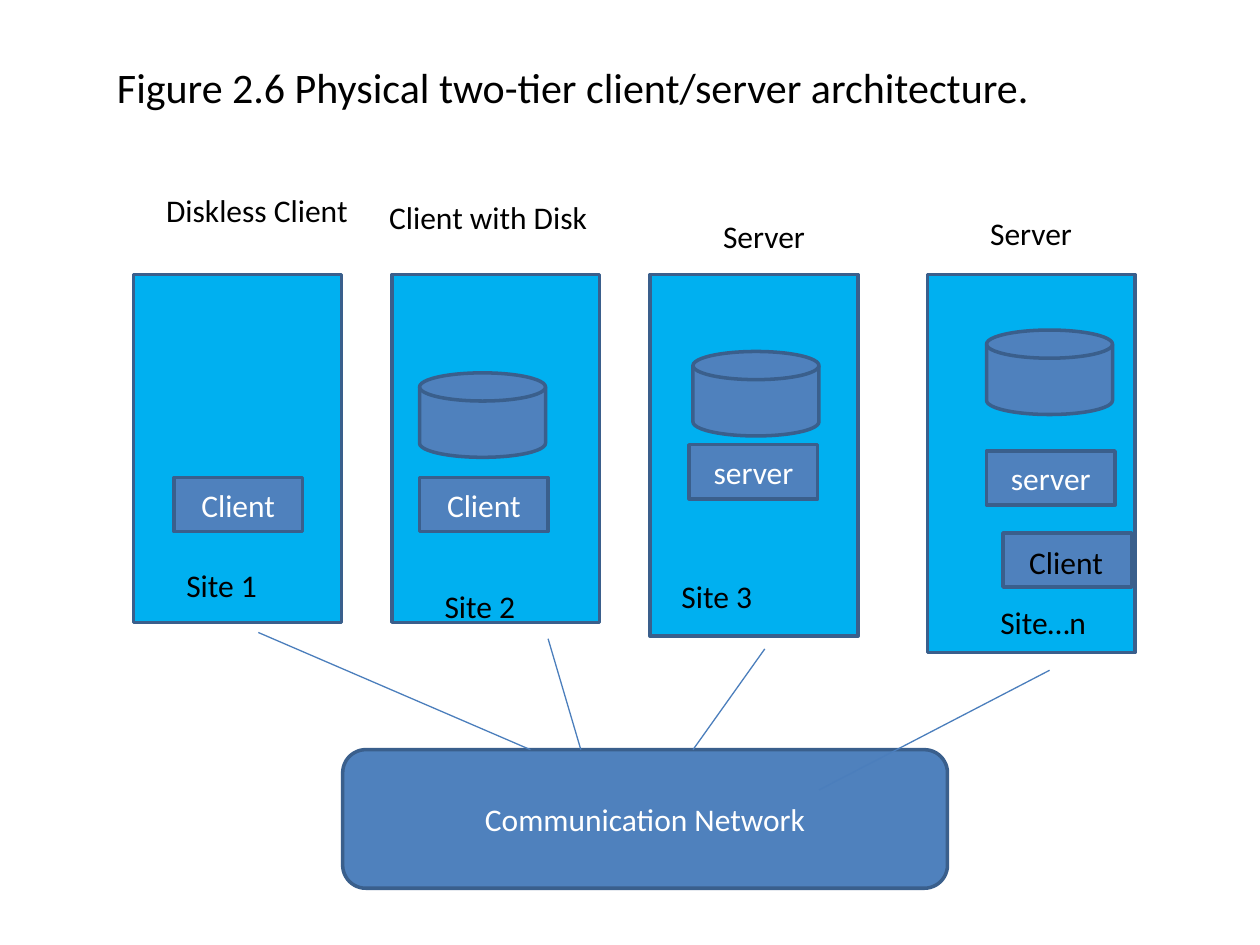
from lxml import etree
from pptx import Presentation
from pptx.dml.color import RGBColor
from pptx.enum.shapes import MSO_CONNECTOR, MSO_SHAPE
from pptx.enum.text import MSO_ANCHOR, MSO_AUTO_SIZE, PP_ALIGN
from pptx.oxml.ns import qn
from pptx.util import Inches, Pt

RECT, ROUNDED = MSO_SHAPE.RECTANGLE, MSO_SHAPE.ROUNDED_RECTANGLE
DISK = MSO_SHAPE.FLOWCHART_MAGNETIC_DISK
STRAIGHT = MSO_CONNECTOR.STRAIGHT
MIDDLE, CENTER = MSO_ANCHOR.MIDDLE, PP_ALIGN.CENTER
FIT_SHAPE = MSO_AUTO_SIZE.SHAPE_TO_FIT_TEXT

FONT = "Calibri"
COLORS = {"site": "00B0F0", "part": "4F81BD", "outline": "3A5F8C",
          "link": "4B7EBC", "dark": "000000", "light": "FFFFFF"}

# The slide is a grid of 100 columns by 75 rows; every length counts cells.
COLUMNS, ROWS, CELL = 100, 75, Inches(0.1)
SITE_TOP, SITE_WIDTH = 21.8, 16.5
PROCESS_SIZE, DISK_SIZE = (10.2, 4.3), (10, 6.7)
LABEL_HEIGHT = 4
NETWORK = (27.2, 59.5, 48, 11)

# Offsets count from the site's top left corner; link ends from the network's.
SITES = [
    {"left": 10.6, "height": 27.6, "caption": ("Diskless Client", 1.6, -7.1, 16.6),
     "processes": [("Client", 3.2, 16.1)], "name": ("Site 1", 3.2, 22.6),
     "link": ((9.9, 28.4), (14.9, 0))},
    {"left": 31.1, "height": 27.6, "caption": ("Client with Disk", -1.2, -6.6, 17.9),
     "disk": (2.2, 7.8), "processes": [("Client", 2.2, 16.1)],
     "name": ("Site 2", 3.2, 24.3), "link": ((12.4, 28.9), (18.9, 0))},
    {"left": 51.6, "height": 28.7, "caption": ("Server", 4.8, -5.1, 8.6),
     "disk": (3.4, 6.1), "processes": [("server", 3.1, 13.5)],
     "name": ("Site 3", 1.5, 23.5), "link": ((9.1, 29.7), (27.8, 0))},
    {"left": 73.6, "height": 30, "caption": ("Server", 4, -5.3, 8.6),
     "disk": (4.7, 4.4), "processes": [("server", 4.7, 14), ("", 6, 20.5)],
     "overlay": ("Client", 7.1, 20.8, 7.9),
     "name": ("Site…n", 4.8, 25.6), "link": ((9.7, 31.4), (37.8, 3.2))},
]


def cells(*counts):
    """Turn counts of grid cells into slide lengths."""
    return [round(count * CELL) for count in counts]


def color(key):
    """Look up a named colour."""
    return RGBColor.from_string(COLORS[key])


def write(frame, words, ink, size=18):
    """Set the words of a frame and format its run."""
    frame.text = words
    for run in frame.paragraphs[0].runs:
        run.font.name, run.font.size = FONT, Pt(size)
        run.font.color.rgb = color(ink)


def add_label(slide, words, box, size=18, wrap=False):
    """Place dark text without a background."""
    frame = slide.shapes.add_textbox(*cells(*box)).text_frame
    write(frame, words, "dark", size)
    frame.word_wrap, frame.auto_size = wrap, FIT_SHAPE


def add_block(slide, preset, box, fill, words=""):
    """Place an outlined shape with optional centred text."""
    block = slide.shapes.add_shape(preset, *cells(*box))
    block.shadow.inherit = False
    block.fill.solid()
    block.fill.fore_color.rgb = color(fill)
    block.line.color.rgb, block.line.width = color("outline"), Pt(2)
    if words:
        write(block.text_frame, words, "light")
        block.text_frame.vertical_anchor = MIDDLE
        block.text_frame.paragraphs[0].alignment = CENTER


def add_site(slide, site, box):
    """Draw one site with its caption, disk, processes and name."""
    left, top = box[:2]
    add_block(slide, RECT, box, "site")
    for words, dx, dy in site["processes"]:
        add_block(slide, RECT, (left + dx, top + dy, *PROCESS_SIZE), "part", words)
    if "disk" in site:
        dx, dy = site["disk"]
        add_block(slide, DISK, (left + dx, top + dy, *DISK_SIZE), "part")
    for key in ("overlay", "caption"):
        if key in site:
            words, dx, dy, width = site[key]
            add_label(slide, words, (left + dx, top + dy, width, LABEL_HEIGHT))
    words, dx, dy = site["name"]
    add_label(slide, words, (left + dx, top + dy, PROCESS_SIZE[0], LABEL_HEIGHT),
              wrap=True)


def add_link(slide, site_box, network_box, ends):
    """Draw the line from a site down to the network."""
    (start_x, start_y), (end_x, end_y) = ends
    link = slide.shapes.add_connector(STRAIGHT, *cells(
        site_box[0] + start_x, site_box[1] + start_y,
        network_box[0] + end_x, network_box[1] + end_y))
    link.line.color.rgb, link.line.width = color("link"), Pt(0.75)
    etree.SubElement(link._element.spPr, qn("a:effectLst"))


def add_architecture(slide):
    """Draw the title, the sites, the network and the links between them."""
    add_label(slide, "Figure 2.6 Physical two-tier client/server architecture.",
              (8.3, 4.4, 77.9, 5), size=24, wrap=True)
    add_block(slide, ROUNDED, NETWORK, "part", "Communication Network")
    for site in SITES:
        box = (site["left"], SITE_TOP, SITE_WIDTH, site["height"])
        add_site(slide, site, box)
        add_link(slide, box, NETWORK, site["link"])


deck = Presentation()
deck.slide_width, deck.slide_height = cells(COLUMNS, ROWS)
add_architecture(deck.slides.add_slide(deck.slide_layouts[6]))
deck.save("out.pptx")
